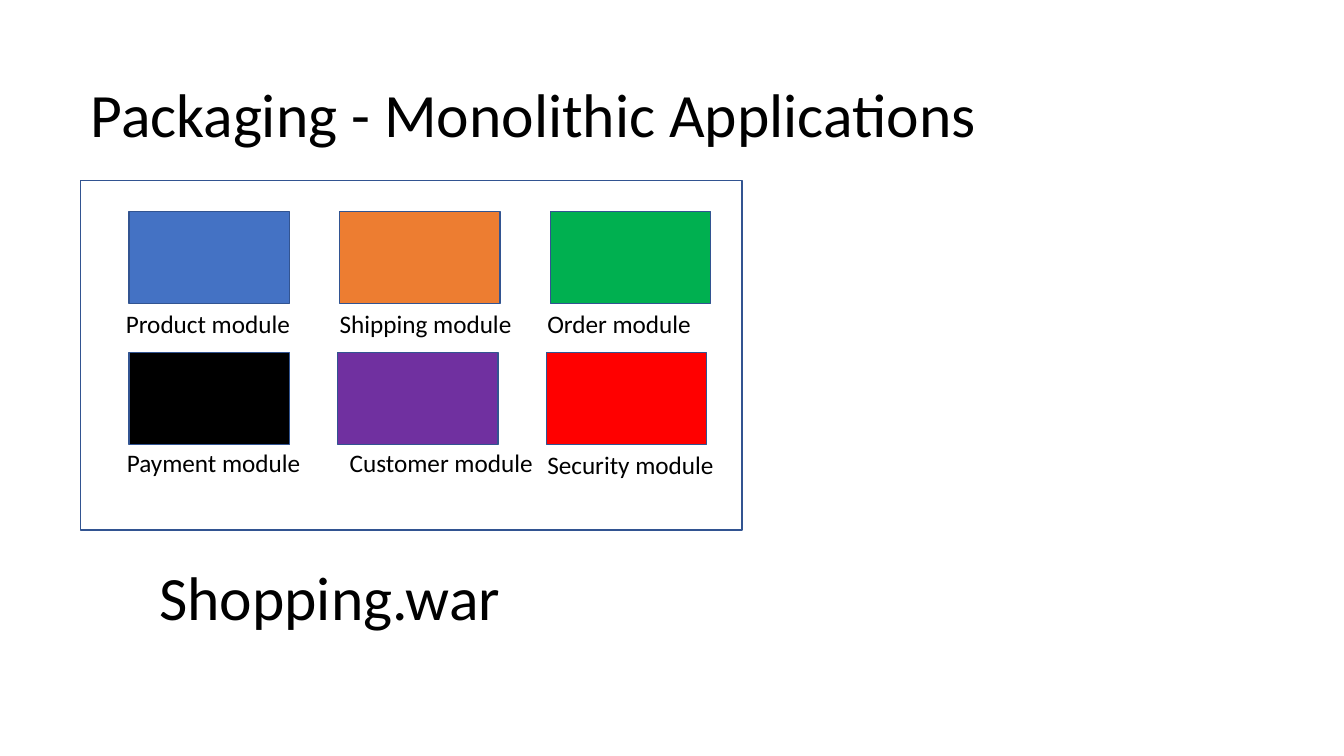
import pptx
import pptx.util
import pptx.dml.color
import pptx.enum.shapes
import pptx.enum.text

Inches = pptx.util.Inches
RGB = pptx.dml.color.RGBColor.from_string


class Theme:
    font = "Calibri"
    ink = "000000"
    line = "325491"
    large = 44
    small = 18


def add_text(text, left, top, width, height, size, wrap):
    box = slide.shapes.add_textbox(
        Inches(left), Inches(top), Inches(width), Inches(height))
    frame = box.text_frame
    frame.word_wrap = wrap
    frame.auto_size = pptx.enum.text.MSO_AUTO_SIZE.SHAPE_TO_FIT_TEXT
    frame.text = text
    font = frame.paragraphs[0].font
    font.name = Theme.font
    font.size = pptx.util.Pt(size)
    font.color.rgb = RGB(Theme.ink)


def add_box(left, top, width, height, fill=None):
    box = slide.shapes.add_shape(
        pptx.enum.shapes.MSO_SHAPE.RECTANGLE,
        Inches(left), Inches(top), Inches(width), Inches(height))
    box.shadow.inherit = False
    box.line.color.rgb = RGB(Theme.line)
    box.line.width = pptx.util.Pt(1)
    if fill:
        box.fill.solid()
        box.fill.fore_color.rgb = RGB(fill)
    else:
        box.fill.background()


deck = pptx.Presentation()
deck.slide_width = Inches(13.33)
deck.slide_height = Inches(7.5)
slide = deck.slides.add_slide(deck.slide_layouts[6])

# Title
add_text("Packaging - Monolithic Applications",
         0.8, 0.7, 11.94, 0.84, Theme.large, True)

# Package frame
add_box(0.8, 1.79, 6.56, 3.47)

# Modules: row top and column step, then name, fill, label left, top, width
rows = [
    (2.1, 2.09, [
        ("Product", "4472C4", 1.15, 3.01, 1.85),
        ("Shipping", "ED7D31", 3.27, 3.01, 1.91),
        ("Order", "00B050", 5.33, 3.01, 1.64),
    ]),
    (3.5, 2.07, [
        ("Payment", "000000", 1.16, 4.39, 1.94),
        ("Customer", "7030A0", 3.37, 4.39, 2.04),
        ("Security", "FF0000", 5.33, 4.41, 1.87),
    ]),
]
for top, step, modules in rows:
    for col, (name, fill, left, base, width) in enumerate(modules):
        add_box(1.28 + col * step, top, 1.59, 0.91, fill)
        add_text(f"{name} module", left, base, width, 0.4, Theme.small, False)

# Archive name
add_text("Shopping.war", 1.48, 5.5, 3.79, 0.84, Theme.large, True)

deck.save("out.pptx")
